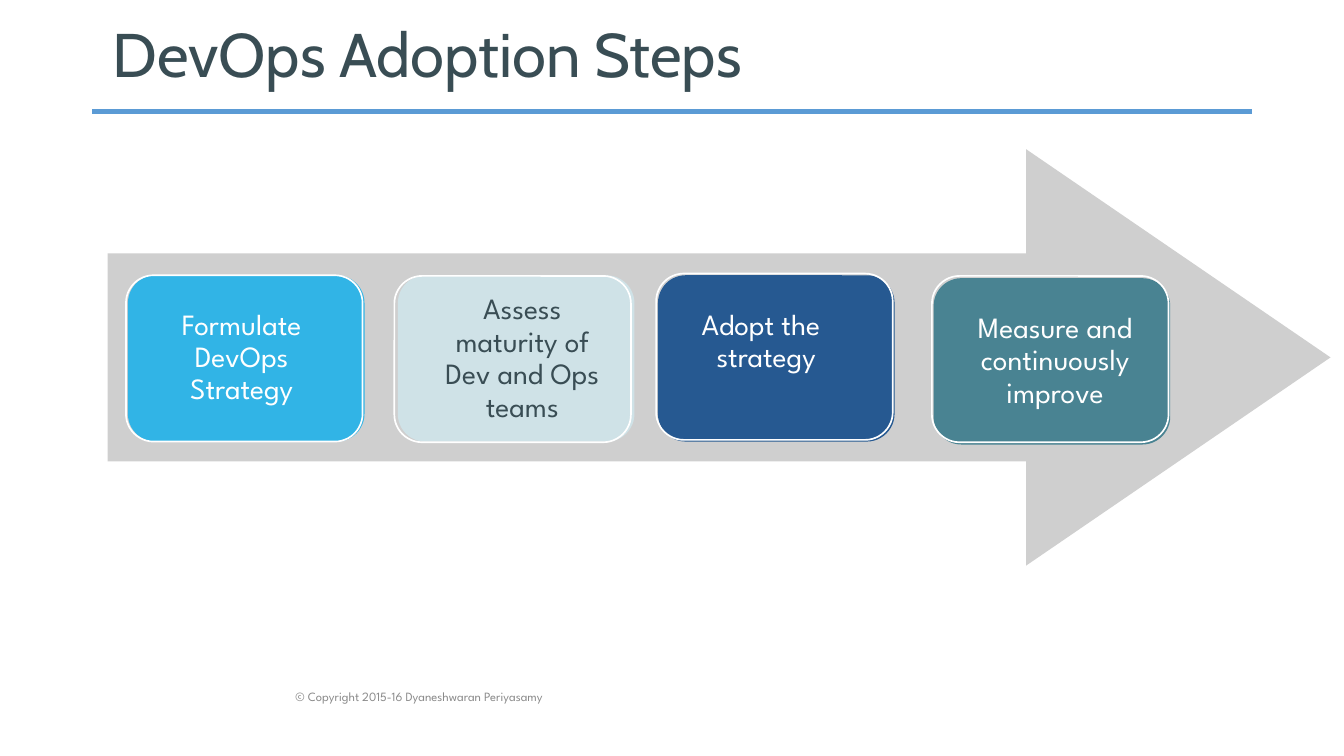
from lxml import etree
from pptx import Presentation
from pptx.dml.color import RGBColor
from pptx.enum import shapes, text
from pptx.oxml.ns import qn
from pptx.util import Pt

COLOURS = {
    "ink": "394D54", "white": "FFFFFF", "rule": "5B9BD5", "arrow": "CFCFCF",
    "sky": "31B4E6", "mist": "CFE2E7", "navy": "265991", "teal": "498392", "grey": "8A8A8A",
}
TITLE = "DevOps Adoption Steps"
COPYRIGHT = "© Copyright 2015-16 Dyaneshwaran Periyasamy"
STEPS = [
    {"lines": ["Formulate", "DevOps", "Strategy"], "fill": "sky", "ink": "white",
     "card": (91.4, 196.6), "frame": (90, 196.6), "label": (120.4, 220.3, 104.4)},
    {"lines": ["Assess", "maturity of", "Dev and Ops", "teams"], "fill": "mist", "ink": "ink",
     "card": (284.2, 196.7), "frame": (281.7, 197.1), "label": (304.7, 209.5, 136.8)},
    {"lines": ["Adopt the", "strategy"], "fill": "navy", "ink": "white", "hanging": 10.8,
     "card": (470, 196.6), "frame": (468.7, 195.4), "label": (501.1, 220.3, 106.6)},
    {"lines": ["Measure and", "continuously", "improve"], "fill": "teal", "ink": "white",
     "card": (666.9, 198.7), "frame": (665.7, 197.1), "label": (684.9, 222.5, 137.5)},
]
CARD_SIZE = (169, 118.8)
LINE_HEIGHT = 23.2
ARROW = (77, 106.6, 873.4, 297.4)
ARROW_HEAD = 217.4


def colour(name):
    return RGBColor.from_string(COLOURS[name])


def add_block(slide, kind, box, fill=None, line=None):
    shape = slide.shapes.add_shape(kind, *map(Pt, box))
    shape.shadow.inherit = False
    if fill:
        shape.fill.solid()
        shape.fill.fore_color.rgb = colour(fill)
    else:
        shape.fill.background()
    if line:
        shape.line.color.rgb = colour(line)
        shape.line.width = Pt(1.2)
    else:
        shape.line.fill.background()
    return shape


def add_text(slide, content, box, size, ink, font="League Spartan", align="LEFT",
             anchor="TOP", spacing=None, hanging=0):
    shape = slide.shapes.add_textbox(*map(Pt, box))
    frame = shape.text_frame
    frame.word_wrap = True
    frame.margin_left = frame.margin_right = frame.margin_top = frame.margin_bottom = 0
    frame.vertical_anchor = text.MSO_ANCHOR[anchor]
    paragraph = frame.paragraphs[0]
    paragraph.text = content
    paragraph.alignment = text.PP_ALIGN[align]
    if spacing:
        paragraph.line_spacing = Pt(spacing)
    if hanging:
        properties = paragraph._p.get_or_add_pPr()
        properties.set("marL", str(Pt(hanging)))
        properties.set("indent", str(-Pt(hanging)))
    for run in paragraph.runs:
        run.font.name = font
        run.font.size = Pt(size)
        run.font.color.rgb = colour(ink)


def add_step(slide, step):
    rounded = shapes.MSO_SHAPE.ROUNDED_RECTANGLE
    add_block(slide, rounded, step["card"] + CARD_SIZE, fill=step["fill"])
    add_block(slide, rounded, step["frame"] + CARD_SIZE, line="white")
    hanging = step.get("hanging", 0)
    add_text(slide, "\v".join(step["lines"]),
             step["label"] + (LINE_HEIGHT * len(step["lines"]),), 21, step["ink"],
             align="LEFT" if hanging else "CENTER", spacing=LINE_HEIGHT, hanging=hanging)


def main():
    presentation = Presentation()
    presentation.slide_width, presentation.slide_height = Pt(960), Pt(540)
    slide = presentation.slides.add_slide(presentation.slide_layouts[6])

    rule = slide.shapes.add_connector(
        shapes.MSO_CONNECTOR.STRAIGHT, Pt(66), Pt(79.9), Pt(894), Pt(79.9))
    rule.line.color.rgb = colour("rule")
    rule.line.width = Pt(3.75)
    etree.SubElement(rule._element.spPr, qn("a:effectLst"))

    add_text(slide, TITLE, (80.6, 10.8, 800, 53.3), 44, "ink", font="Cabin", anchor="MIDDLE")

    arrow = add_block(slide, shapes.MSO_SHAPE.RIGHT_ARROW, ARROW, fill="arrow")
    arrow.adjustments[0] = 0.5
    arrow.adjustments[1] = ARROW_HEAD / ARROW[3]

    for step in STEPS:
        add_step(slide, step)

    add_text(slide, COPYRIGHT, (211, 492.5, 210, 10.8), 9, "grey", spacing=10.2)
    presentation.save("out.pptx")


if __name__ == "__main__":
    main()
